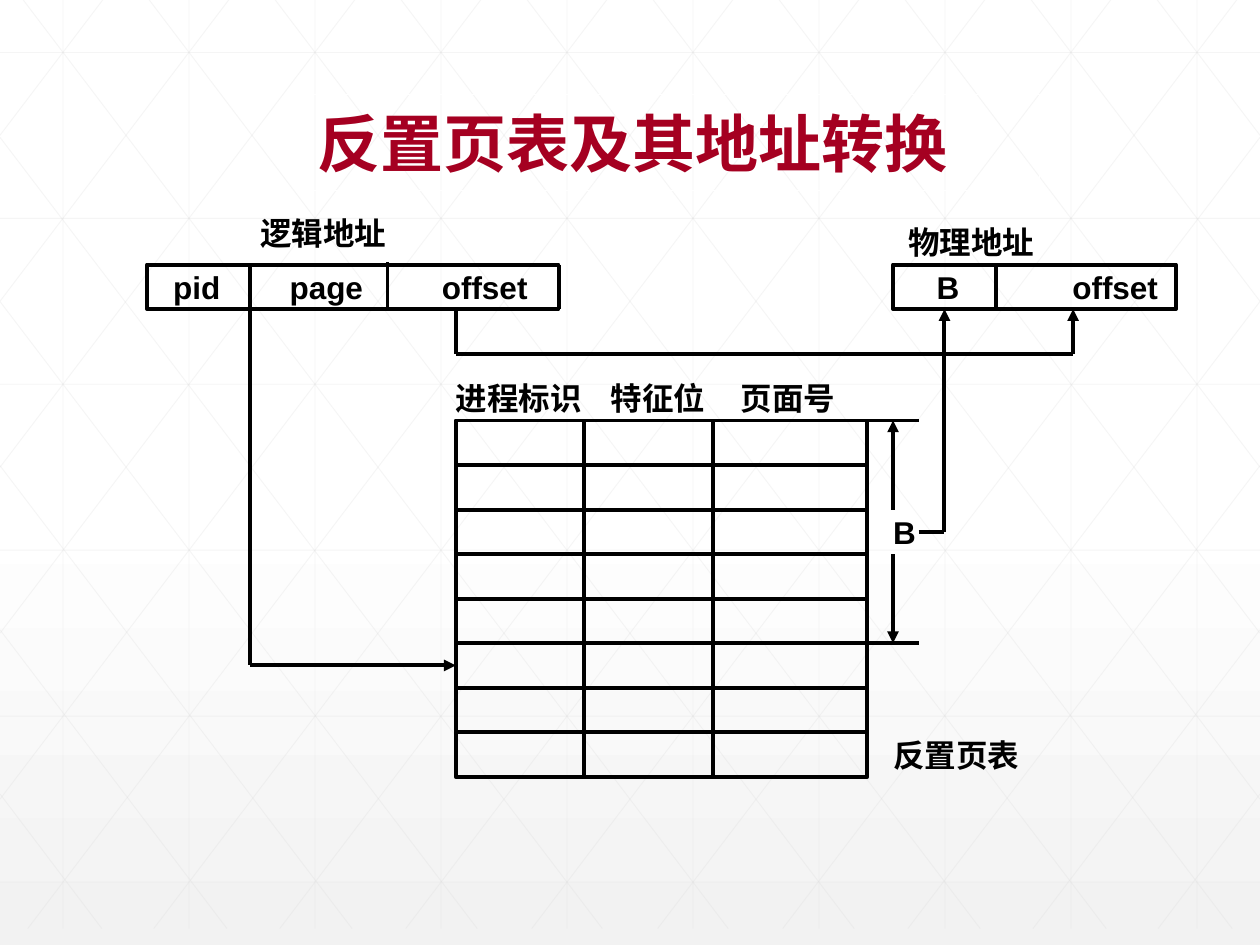
import copy

import pptx
import pptx.dml.color
import pptx.enum.shapes
import pptx.enum.text
import pptx.oxml
import pptx.oxml.ns
import pptx.util

Pt = pptx.util.Pt
RGBColor = pptx.dml.color.RGBColor
BLACK = RGBColor(0x00, 0x00, 0x00)
WHITE = RGBColor(0xFF, 0xFF, 0xFF)
CRIMSON = RGBColor(0xA5, 0x00, 0x21)
MESH_GRAY = RGBColor(0xD9, 0xD9, 0xD9)
BOTTOM_GRAY = RGBColor(0xF2, 0xF2, 0xF2)
NAMESPACE = pptx.oxml.ns.nsdecls("a")

# The diagram sits on a grid of narrow columns and table-height rows
GRID_LEFT, GRID_TOP = 84, 151.2
COLUMN, ROW = 14.7, 25.45
TABLE_LEFT, TABLE_RIGHT, TABLE_TOP, TABLE_ROWS = 12, 28, 3.5, 8
TABLE_BOTTOM = TABLE_TOP + TABLE_ROWS


def draw_line(start_x, start_y, end_x, end_y, color, width):
    line = slide.shapes.add_connector(
        pptx.enum.shapes.MSO_CONNECTOR.STRAIGHT,
        Pt(start_x), Pt(start_y), Pt(end_x), Pt(end_y))
    line.line.color.rgb = color
    line.line.width = Pt(width)
    line._element.spPr.append(pptx.oxml.parse_xml(f"<a:effectLst {NAMESPACE}/>"))
    return line


def draw_grid_line(start_column, start_row, end_column, end_row, arrow=False):
    line = draw_line(GRID_LEFT + start_column * COLUMN, GRID_TOP + start_row * ROW,
                     GRID_LEFT + end_column * COLUMN, GRID_TOP + end_row * ROW,
                     BLACK, 2.25)
    if arrow:
        line.line._get_or_add_ln().append(
            pptx.oxml.parse_xml(f'<a:tailEnd {NAMESPACE} type="triangle"/>'))


presentation = pptx.Presentation()
presentation.slide_width = Pt(720)
presentation.slide_height = Pt(540)
slide = presentation.slides.add_slide(presentation.slide_layouts[5])

# Background gradient: white to just past the middle, then light gray
background = slide.background.fill
background.gradient()
background.gradient_angle = 270
first_stop = background.gradient_stops[0]._gs
first_stop.addnext(copy.deepcopy(first_stop))
for stop, position, color in zip(background.gradient_stops, (0, 0.53, 1),
                                 (WHITE, WHITE, BOTTOM_GRAY)):
    stop.position = position
    stop.color.rgb = color

# Faint background mesh: verticals, horizontals and mirrored diagonals
MESH_BOTTOM = 530.6
SLOPE = MESH_BOTTOM / 402.8
mesh = [(36 + 72 * i, 0, 36 + 72 * i, MESH_BOTTOM) for i in range(10)]
mesh += [(0, 30 + 94.8 * i, 720, 30 + 94.8 * i) for i in range(6)]
diagonals = []
for i in range(10):
    start = 13.3 + 72 * i
    end = min(start + 402.8, 720)
    diagonals.append((start, 0, end, (end - start) * SLOPE))
diagonals += [(344.2 - 71.5 * i, MESH_BOTTOM, 0, 78.5 + 93.8 * i) for i in range(5)]
mesh += diagonals
mesh += [(720 - x1, y1, 720 - x2, y2) for x1, y1, x2, y2 in diagonals]
for ends in mesh:
    line = draw_line(*ends, MESH_GRAY, 0.5)
    rgb_element = line._element.find(".//" + pptx.oxml.ns.qn("a:srgbClr"))
    rgb_element.append(pptx.oxml.parse_xml(f'<a:alpha {NAMESPACE} val="25000"/>'))

# Address boxes, page table outline and labels:
# column, row, columns wide, rows high, outlined, text, tab stops
boxes = [
    (TABLE_LEFT, TABLE_TOP, 16, TABLE_ROWS, True, "", ()),
    (0, 0, 16, 1, True, "\tpid\tpage\toffset", (15, 81.5, 168.5)),
    (29, 0, 11, 1, True, "\tB\toffset", (25, 102.5)),
    (TABLE_LEFT, 2.5, 16, 1, False, "进程标识\t特征位\t页面号", (88.5, 163)),
    (29, 5.5, 1, 1, False, "B", ()),
    (29, 10.5, 5, 1, False, "反置页表", ()),
    (29.6, -1, 5, 1, False, "物理地址", ()),
    (4.4, -1.2, 5, 1, False, "逻辑地址", ()),
]
for column, row, columns, rows, outlined, text, tab_stops in boxes:
    frame = (Pt(GRID_LEFT + column * COLUMN), Pt(GRID_TOP + row * ROW),
             Pt(columns * COLUMN), Pt(rows * ROW))
    if outlined:
        shape = slide.shapes.add_shape(pptx.enum.shapes.MSO_SHAPE.RECTANGLE, *frame)
        shape.shadow.inherit = False
        shape.fill.background()
        shape.line.color.rgb = BLACK
        shape.line.width = Pt(2.25)
    else:
        shape = slide.shapes.add_textbox(*frame)
    if not text:
        continue
    text_frame = shape.text_frame
    text_frame.margin_left = text_frame.margin_right = 0
    text_frame.margin_top = text_frame.margin_bottom = 0
    text_frame.vertical_anchor = pptx.enum.text.MSO_ANCHOR.MIDDLE
    text_frame.word_wrap = True
    text_frame.text = text
    paragraph = text_frame.paragraphs[0]
    paragraph.alignment = pptx.enum.text.PP_ALIGN.LEFT
    if tab_stops:
        tabs = "".join(f'<a:tab pos="{Pt(stop)}" algn="l"/>' for stop in tab_stops)
        paragraph._p.get_or_add_pPr().append(
            pptx.oxml.parse_xml(f"<a:tabLst {NAMESPACE}>{tabs}</a:tabLst>"))
    for run in paragraph.runs:
        run.font.name = "Arial"
        run.font.size = Pt(18)
        run.font.bold = True
        run.font.color.rgb = BLACK

# Dividers of the address boxes
for column in (4, 16, 33):
    draw_grid_line(column, 0, column, 1)
draw_grid_line(9.35, -0.05, 9.35, 0.95)

# Inner lines of the page table
for column in (17, 22):
    draw_grid_line(column, TABLE_TOP, column, TABLE_BOTTOM)
for i in range(1, TABLE_ROWS):
    draw_grid_line(TABLE_LEFT, TABLE_TOP + i, TABLE_RIGHT, TABLE_TOP + i)

# Process id and page lead to the table entry
draw_grid_line(4, 1, 4, 9)
draw_grid_line(4, 9, TABLE_LEFT, 9, arrow=True)

# Height B of the entry, passed on to the physical address
for row in (TABLE_TOP, 8.5):
    draw_grid_line(TABLE_RIGHT, row, 30, row)
draw_grid_line(29, 5.5, 29, TABLE_TOP, arrow=True)
draw_grid_line(29, 6.5, 29, 8.5, arrow=True)
draw_grid_line(30, 6, 31, 6)
draw_grid_line(31, 6, 31, 1, arrow=True)

# Offset is copied unchanged
draw_grid_line(12, 1, 12, 2)
draw_grid_line(12, 2, 36, 2)
draw_grid_line(36, 2, 36, 1, arrow=True)

# Title, in front of the mesh
title = slide.shapes.title
slide.shapes._spTree.append(title._element)
title.left, title.top, title.width, title.height = Pt(174), Pt(54), Pt(420), Pt(54.7)
title.line.color.rgb = WHITE
title.line.width = Pt(0.75)
title.text_frame.text = "反置页表及其地址转换"
title.text_frame.vertical_anchor = pptx.enum.text.MSO_ANCHOR.MIDDLE
title.text_frame.word_wrap = True
paragraph = title.text_frame.paragraphs[0]
paragraph.alignment = pptx.enum.text.PP_ALIGN.LEFT
font = paragraph.runs[0].font
font.name = "Arial"
font.size = Pt(36)
font.bold = True
font.color.rgb = CRIMSON

presentation.save("out.pptx")
